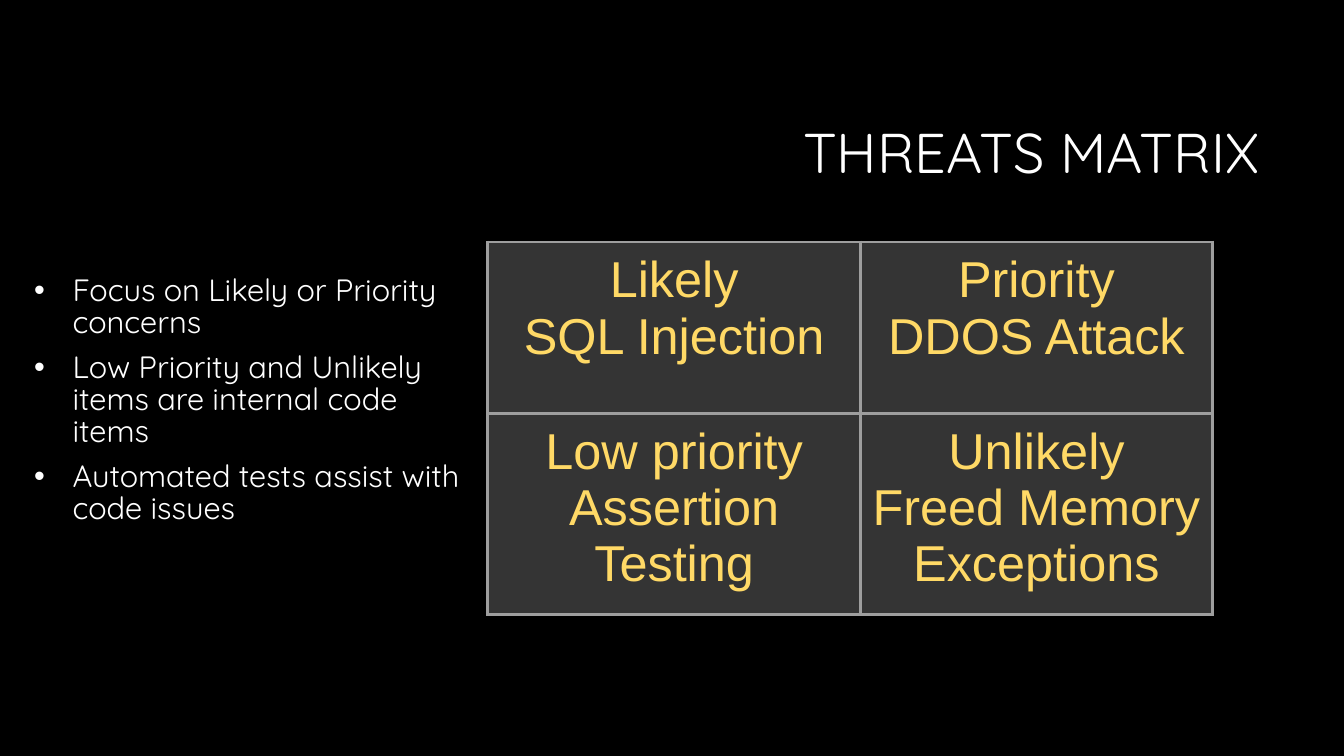
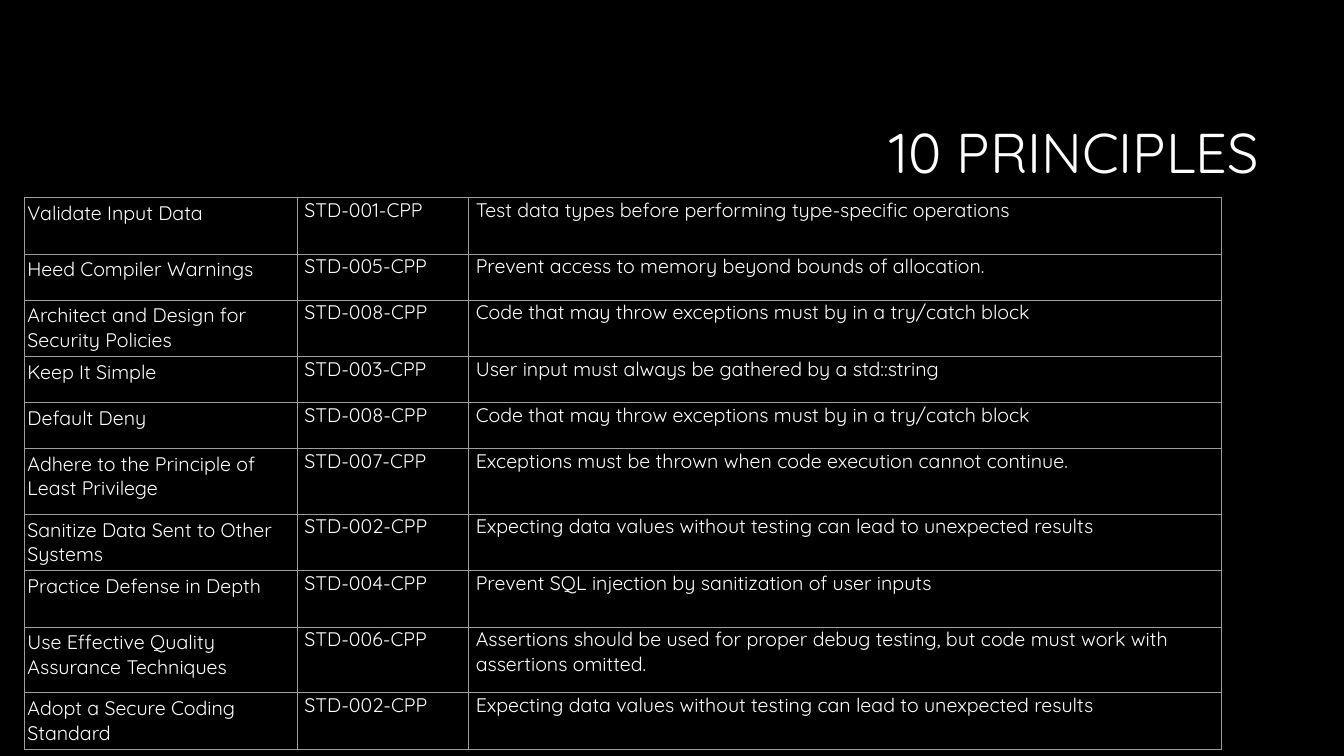
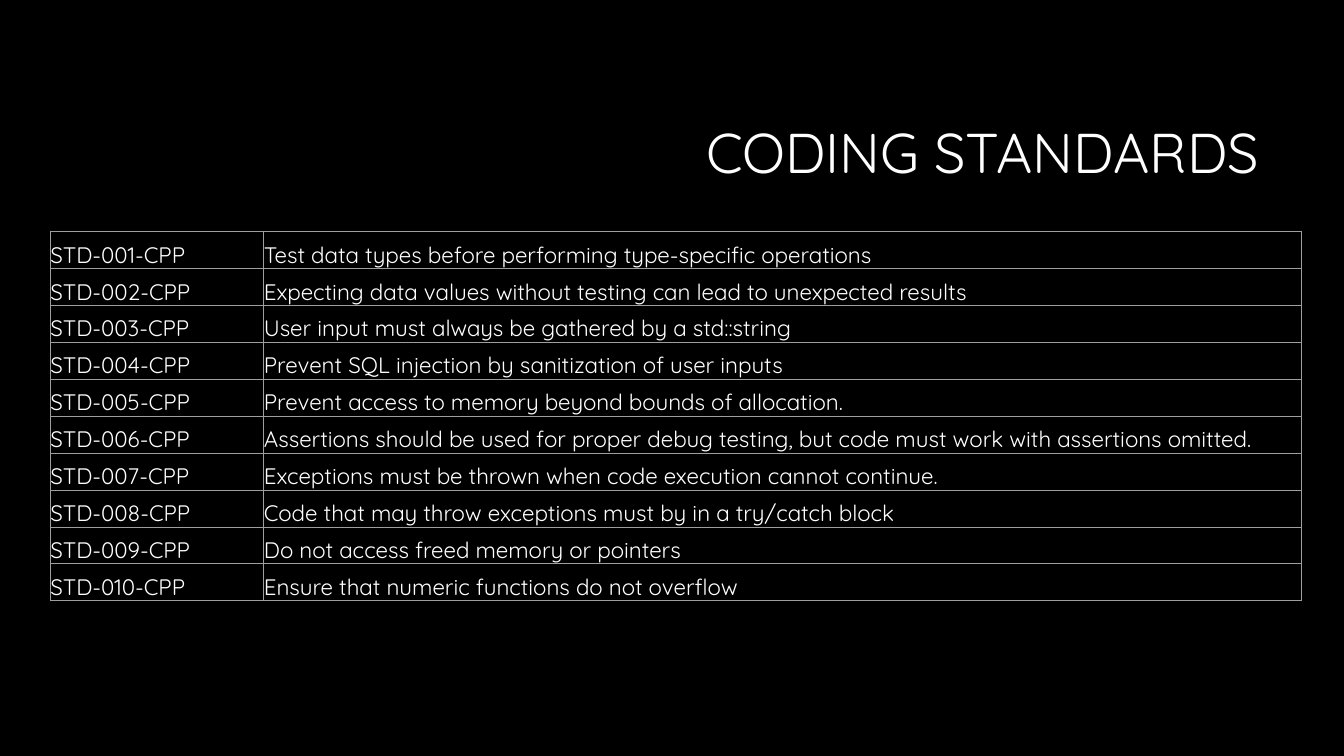
"""Build three dark slides on threats, principles and coding standards."""
from lxml import etree
from pptx import Presentation
from pptx import util as u
from pptx.dml.color import RGBColor
from pptx.enum import text
from pptx.oxml.ns import qn

HUES = {"back": "000000", "ink": "FFFFFF", "grid": "9E9E9E",
        "cell": "343434", "gold": "FFD966"}
FACE = "Quicksand"
LEFT, MID, RIGHT = text.PP_ALIGN.LEFT, text.PP_ALIGN.CENTER, text.PP_ALIGN.RIGHT
TOP, HALF, BASE = text.MSO_ANCHOR.TOP, text.MSO_ANCHOR.MIDDLE, text.MSO_ANCHOR.BOTTOM

THREATS = [
    ("Likely\nSQL Injection", "Priority\nDDOS Attack"),
    ("Low priority\nAssertion Testing", "Unlikely\nFreed Memory Exceptions"),
]
POINTS = [
    "Focus on Likely or Priority concerns",
    "Low Priority and Unlikely items are internal code items",
    "Automated tests assist with code issues",
]
RULES = [
    "Test data types before performing type-specific operations",
    "Expecting data values without testing can lead to unexpected results",
    "User input must always be gathered by a std::string",
    "Prevent SQL injection by sanitization of user inputs",
    "Prevent access to memory beyond bounds of allocation.",
    "Assertions should be used for proper debug testing, "
    "but code must work with assertions omitted.",
    "Exceptions must be thrown when code execution cannot continue.",
    "Code that may throw exceptions must by in a try/catch block",
    "Do not access freed memory or pointers",
    "Ensure that numeric functions do not overflow",
]
CODES = [(f"STD-{n:03}-CPP", rule) for n, rule in enumerate(RULES, 1)]
AIMS = [
    ("Validate Input Data", 1, 1.42),
    ("Heed Compiler Warnings", 5, 1.16),
    ("Architect and Design for Security Policies", 8, 1.42),
    ("Keep It Simple", 3, 1.16),
    ("Default Deny", 8, 1.16),
    ("Adhere to the Principle of Least Privilege", 7, 1.66),
    ("Sanitize Data Sent to Other Systems", 2, 1.42),
    ("Practice Defense in Depth", 4, 1.42),
    ("Use Effective Quality Assurance Techniques", 6, 1.66),
    ("Adopt a Secure Coding Standard", 2, 1.42),
]


def tint(name):
    return RGBColor.from_string(HUES[name])


def style(par, size, hue="ink", face=FACE, align=LEFT):
    par.alignment = align
    par.font.size = u.Pt(size)
    par.font.name = face
    par.font.color.rgb = tint(hue)


def add_box(slide, place, anchor=TOP):
    frame = slide.shapes.add_textbox(*map(u.Cm, place)).text_frame
    frame.word_wrap = True
    frame.vertical_anchor = anchor
    return frame


def add_page(deck, title):
    slide = deck.slides.add_slide(deck.slide_layouts[6])
    frame = add_box(slide, (8.05, 2.13, 23.93, 3.58), HALF)
    frame.text = title
    par = frame.paragraphs[0]
    par.line_spacing = 0.9
    style(par, 40, align=RIGHT)
    return slide


def add_list(slide, place, items):
    frame = add_box(slide, place)
    frame.text = "\n".join(items)
    for par in frame.paragraphs:
        props = par._p.get_or_add_pPr()
        props.set("marL", str(u.Cm(1.35)))
        props.set("indent", str(u.Cm(-0.97)))
        etree.SubElement(props, qn("a:buFont"), typeface="Arial")
        etree.SubElement(props, qn("a:buChar"), char="•")
        par.line_spacing = 0.87
        par.space_before = u.Pt(9)
        style(par, 22)


def add_edge(cell, width):
    props = cell._tc.get_or_add_tcPr()
    for side in "LRTB":
        line = etree.SubElement(props, qn(f"a:ln{side}"), w=str(u.Pt(width)))
        fill = etree.SubElement(line, qn("a:solidFill"))
        etree.SubElement(fill, qn("a:srgbClr"), val=HUES["grid"])


def add_grid(slide, spot, cols, rows, data, pads, size, edge=0.75,
             fill=None, anchor=TOP, **look):
    place = (*spot, sum(cols), sum(rows))
    table = slide.shapes.add_table(len(rows), len(cols), *map(u.Cm, place)).table
    table.first_row = table.horz_banding = False
    for col, width in zip(table.columns, cols):
        col.width = u.Cm(width)
    for row, high, words in zip(table.rows, rows, data):
        row.height = u.Cm(high)
        for cell, word, (wide, tall) in zip(row.cells, words, pads):
            cell.text = word
            cell.vertical_anchor = anchor
            cell.margin_left = cell.margin_right = u.Cm(wide)
            cell.margin_top = cell.margin_bottom = u.Cm(tall)
            add_edge(cell, edge)
            if fill:
                cell.fill.solid()
                cell.fill.fore_color.rgb = tint(fill)
            else:
                cell.fill.background()
            for par in cell.text_frame.paragraphs:
                style(par, size, **look)


def main():
    deck = Presentation()
    deck.slide_width, deck.slide_height = u.Cm(33.87), u.Cm(19.05)
    back = deck.slide_master.background.fill
    back.solid()
    back.fore_color.rgb = tint("back")

    slide = add_page(deck, "THREATS MATRIX")
    add_list(slide, (0.23, 6.83, 11.81, 10.44), POINTS)
    add_grid(slide, (12.29, 6.1), (9.4, 8.86), (4.32, 4.88), THREATS,
             [(0.25, 0.25)] * 2, 36, edge=2.25, fill="cell",
             hue="gold", face="Arial", align=MID)

    slide = add_page(deck, "10 PRINCIPLES")
    add_grid(slide, (0.61, 4.98), (6.88, 4.32, 18.97),
             [high for _, _, high in AIMS],
             [(aim, *CODES[n - 1]) for aim, n, _ in AIMS],
             [(0.08, 0.08), (0.18, 0), (0.18, 0)], 14)

    slide = add_page(deck, "CODING STANDARDS")
    add_grid(slide, (1.27, 5.84), (5.38, 26.14), [0.93] * len(CODES), CODES,
             [(0, 0)] * 2, 16, anchor=BASE)

    deck.save("out.pptx")


if __name__ == "__main__":
    main()
